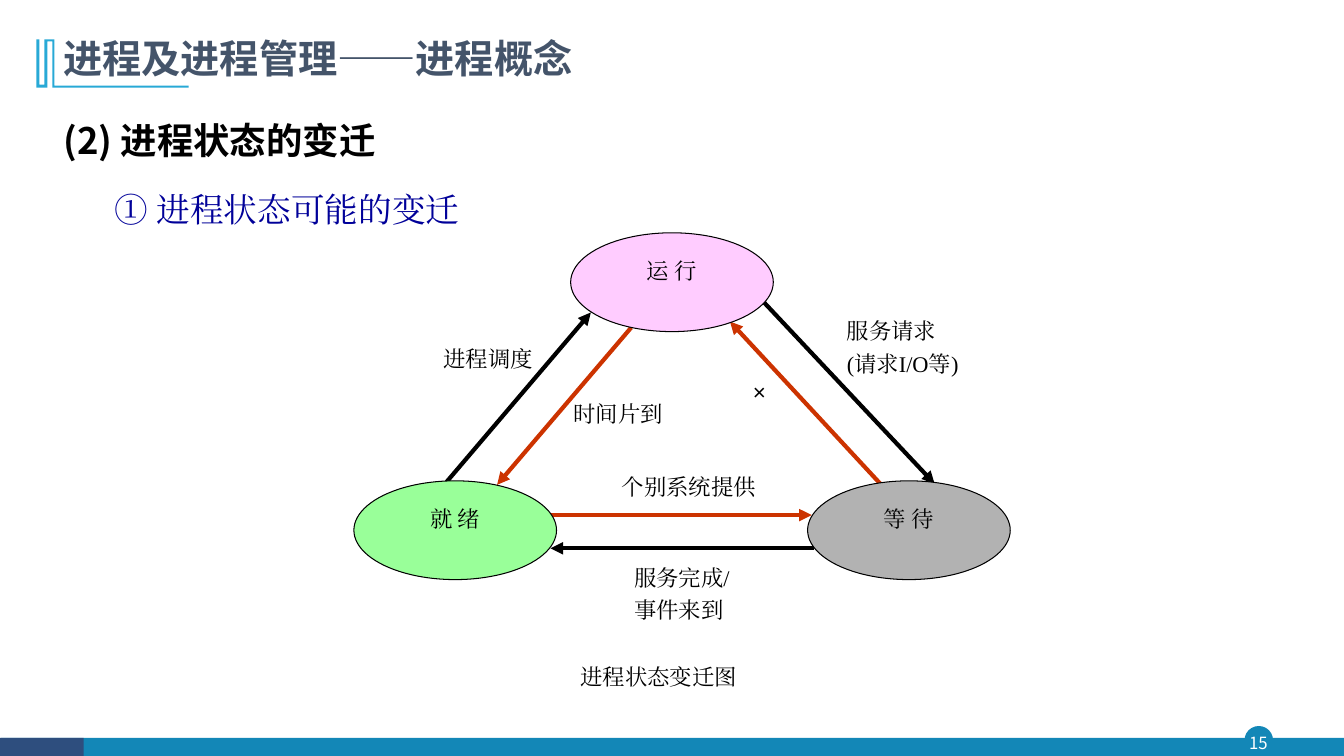
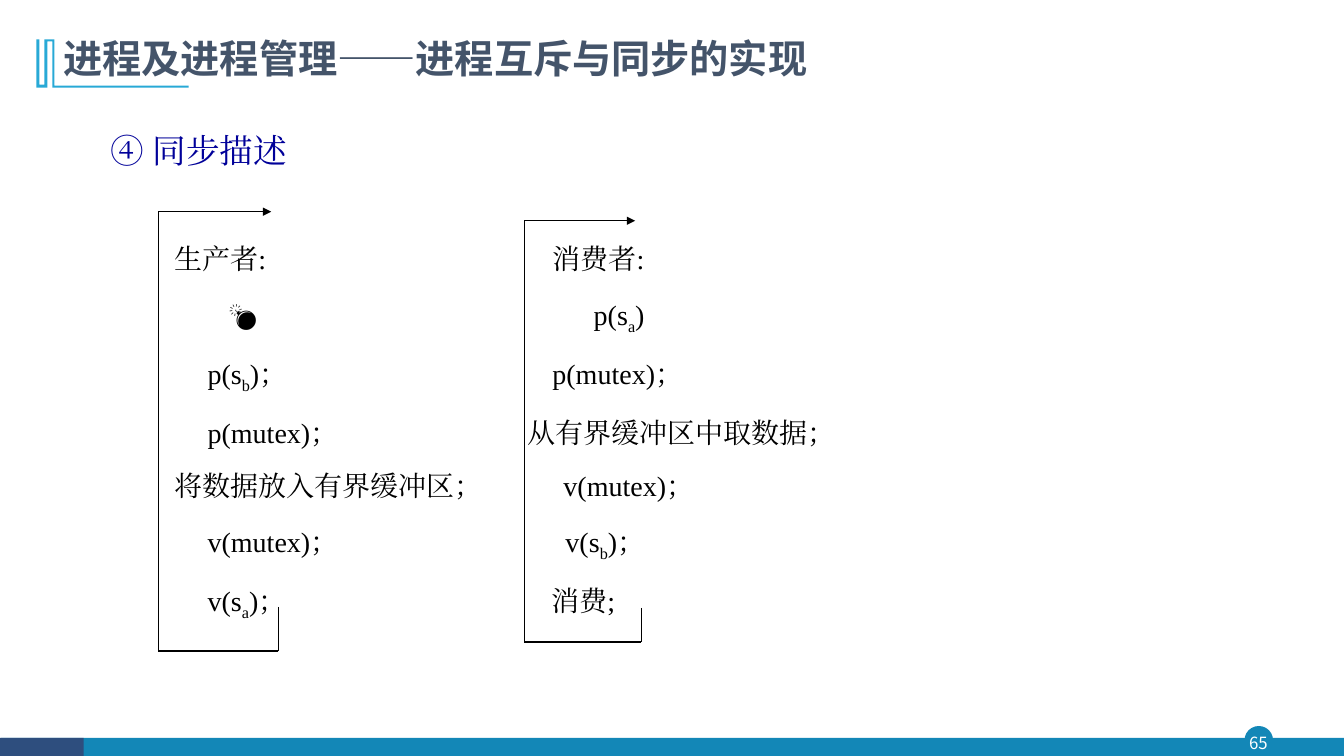
from lxml import etree
from pptx import Presentation
from pptx.dml.color import RGBColor
from pptx.enum.shapes import MSO_CONNECTOR, MSO_SHAPE
from pptx.enum.text import MSO_ANCHOR, PP_ALIGN
from pptx.oxml.ns import qn
from pptx.util import Inches, Pt

LINE = MSO_CONNECTOR.STRAIGHT
OVAL, RECT = MSO_SHAPE.OVAL, MSO_SHAPE.RECTANGLE
MIDDLE, TOP = MSO_ANCHOR.MIDDLE, MSO_ANCHOR.TOP
CENTER = PP_ALIGN.CENTER

SANS, SERIF = "Noto Sans CJK SC", "Times New Roman"
COLORS = {
    "white": "FFFFFF", "black": "000000", "teal": "1387B7", "navy": "2E4E7E",
    "cyan": "28A9D6", "slate": "44546A", "blue": "000099", "red": "CC3300",
    "pink": "FFCCFF", "gray": "B2B2B2", "green": "99FF99",
}
MARK = [
    (0.54, 0.39), (0.54, 0.85), (1.87, 0.85), (1.87, 0.87), (0.52, 0.87),
    (0.52, 0.41), (0.47, 0.41), (0.47, 0.87), (0.36, 0.87), (0.36, 0.39),
    (0.39, 0.39), (0.39, 0.84), (0.44, 0.84), (0.44, 0.39),
]
STATES = [
    ("运 行", 5.66, 2.31, "pink", 0),
    ("等 待", 8.01, 4.77, "gray", 2),
    ("就 绪", 3.51, 4.77, "green", 2),
]
MOVES = [
    ((6.26, 3.25), (4.93, 4.81), "red"),
    ((7.54, 2.96), (9.27, 4.8), "black"),
    ((8.75, 4.82), (7.24, 3.19), "red"),
    ((8.07, 5.44), (5.46, 5.44), "black"),
    ((4.43, 4.78), (5.86, 3.1), "black"),
    ((5.45, 5.11), (8.05, 5.11), "red"),
]
LABELS = [
    (8.3, 3.1, 1.41, ["服务请求", "(请求I/O等)"]),
    (6.19, 5.55, 1.38, ["服务完成/", "事件来到"]),
    (4.3, 3.37, 1.24, ["进程调度"]),
    (5.59, 3.92, 1.22, ["时间片到"]),
    (6.07, 4.64, 1.64, ["个别系统提供"]),
]
# Each row: left tab, producer step, right tab, consumer step
STEPS = [
    (0.63, "生产者:", 4.38, "消费者:"),
    (1.17, "💣", 4.79, "p(s_a)"),
    (0.96, "p(s_b)；", 4.38, "p(mutex)；"),
    (0.96, "p(mutex)；", 4.13, "从有界缓冲区中取数据；"),
    (0.63, "将数据放入有界缓冲区；", 4.49, "v(mutex)；"),
    (0.96, "v(mutex)；", 4.51, "v(s_b)；"),
    (0.96, "v(s_a)；", 4.37, "消费;"),
]
LOOPS = [
    [(2.76, 6.02), (2.76, 6.46), (1.57, 6.46), (1.57, 2.1), (2.69, 2.1)],
    [(6.36, 6.03), (6.36, 6.37), (5.2, 6.37), (5.2, 2.19), (6.3, 2.19)],
]


def rgb(name):
    return RGBColor.from_string(COLORS[name])


def paint(shape, fill, line=None, width=1):
    shape.shadow.inherit = False
    shape.fill.solid()
    shape.fill.fore_color.rgb = rgb(fill)
    if line:
        shape.line.color.rgb = rgb(line)
        shape.line.width = Pt(width)
    else:
        shape.line.fill.background()


def add_form(slide, kind, box, fill, line=None, width=1):
    shape = slide.shapes.add_shape(kind, *map(Inches, box))
    paint(shape, fill, line, width)
    return shape


def add_box(slide, *box):
    frame = slide.shapes.add_textbox(*map(Inches, box)).text_frame
    frame.word_wrap = True
    return frame


def add_runs(para, text):
    """Add text; the letter after each underscore is a subscript."""
    first, *rest = text.split("_")
    para.add_run().text = first
    for part in rest:
        sub = para.add_run()
        sub.text = part[0]
        sub._r.get_or_add_rPr().set("baseline", "-25000")
        para.add_run().text = part[1:]


def write(frame, text, size, color="black", face=SERIF, bold=False,
          space=1, before=0, align=None):
    """Fill the empty first paragraph or add one more."""
    para = frame.paragraphs[0]
    if para.runs:
        para = frame.add_paragraph()
    add_runs(para, text)
    para.line_spacing, para.space_before = space, Pt(before)
    if align is not None:
        para.alignment = align
    font = para.font
    font.size, font.bold = Pt(size), bold
    font.color.rgb = rgb(color)
    font.name = face
    east = etree.SubElement(para._p.pPr.find(qn("a:defRPr")), qn("a:ea"))
    east.set("typeface", face)
    return para


def set_tabs(para, stops):
    tabs = etree.Element(qn("a:tabLst"))
    for stop in stops:
        etree.SubElement(tabs, qn("a:tab"), pos=str(Inches(stop)), algn="l")
    para._p.pPr.find(qn("a:defRPr")).addprevious(tabs)


def add_line(shapes, start, end, color, width, arrow):
    line = shapes.add_connector(LINE, *map(Inches, start + end))
    line.line.color.rgb = rgb(color)
    line.line.width = Pt(width)
    props = line._element.spPr
    if arrow:
        etree.SubElement(props.find(qn("a:ln")), qn("a:tailEnd"), type="triangle")
    etree.SubElement(props, qn("a:effectLst"))


def add_loop(slide, points):
    group = slide.shapes.add_group_shape()
    last = len(points) - 2
    for i, (start, end) in enumerate(zip(points, points[1:])):
        add_line(group.shapes, start, end, "black", 1, i == last)


def add_slide(deck, title, number):
    """Add a slide with the shared title, mark and footer."""
    slide = deck.slides.add_slide(deck.slide_layouts[6])
    add_form(slide, OVAL, (12.35, 7.21, 0.27, 0.27), "teal", "teal")
    add_form(slide, RECT, (0.01, 7.32, 13.32, 0.19), "teal")
    add_form(slide, RECT, (0, 7.32, 0.83, 0.19), "navy")
    page = add_box(slide, 12.32, 7.21, 0.32, 0.31)
    page.margin_left = page.margin_right = 0
    page.margin_top = page.margin_bottom = 0
    page.vertical_anchor = MIDDLE
    write(page, number, 12, "white", SANS, align=CENTER)
    first, *rest = [tuple(map(Inches, point)) for point in MARK]
    pen = slide.shapes.build_freeform(*first)
    pen.add_line_segments(rest)
    paint(pen.convert_to_shape(), "cyan")
    head = add_box(slide, 0.53, 0.34, 10.49, 0.56)
    write(head, title, 28, "slate", SANS, True, 0.9)
    return slide


def add_state(slide, text, left, top, fill, before):
    shape = add_form(slide, OVAL, (left, top, 2.01, 0.98), fill, "black", 0.75)
    shape.text_frame.vertical_anchor = TOP
    write(shape.text_frame, text, 16, space=1.2, before=before, align=CENTER)


def draw_states(deck):
    slide = add_slide(deck, "进程及进程管理——进程概念", "15")
    body = add_box(slide, 0.53, 0.91, 7.38, 1.73)
    write(body, "(2) 进程状态的变迁", 26, face=SANS, bold=True, space=1.5, before=10)
    item = write(body, "① 进程状态可能的变迁", 24, "blue", space=1.5, before=5)
    item._p.pPr.set("marL", str(Inches(0.51)))
    for start, end, color in MOVES:
        add_line(slide.shapes, start, end, color, 3, True)
    for state in STATES:
        add_state(slide, *state)
    for left, top, width, lines in LABELS:
        frame = add_box(slide, left, top, width, 0.32 * len(lines) + 0.05)
        for text in lines:
            write(frame, text, 16, before=3.8)
    cross = add_box(slide, 7.37, 3.65, 0.6, 0.42)
    write(cross, "×", 16, face="Arial", space=1.2, before=2)
    write(add_box(slide, 5.66, 6.48, 2.16, 0.42), "进程状态变迁图", 16, space=1.2)


def draw_sync(deck):
    slide = add_slide(deck, "进程及进程管理——进程互斥与同步的实现", "65")
    body = add_box(slide, 1, 1.12, 7.92, 4.9)
    write(body, "④ 同步描述", 24, "blue", space=1.3, before=8.6)
    for i, (left, make, right, take) in enumerate(STEPS):
        before = 7.2 if i else 44
        para = write(body, f"\t{make}\t{take}", 20, space=1.3, before=before)
        set_tabs(para, (left, right))
    for points in LOOPS:
        add_loop(slide, points)


def main():
    deck = Presentation()
    deck.slide_width, deck.slide_height = Inches(13.33), Inches(7.5)
    draw_states(deck)
    draw_sync(deck)
    deck.save("out.pptx")


if __name__ == "__main__":
    main()
